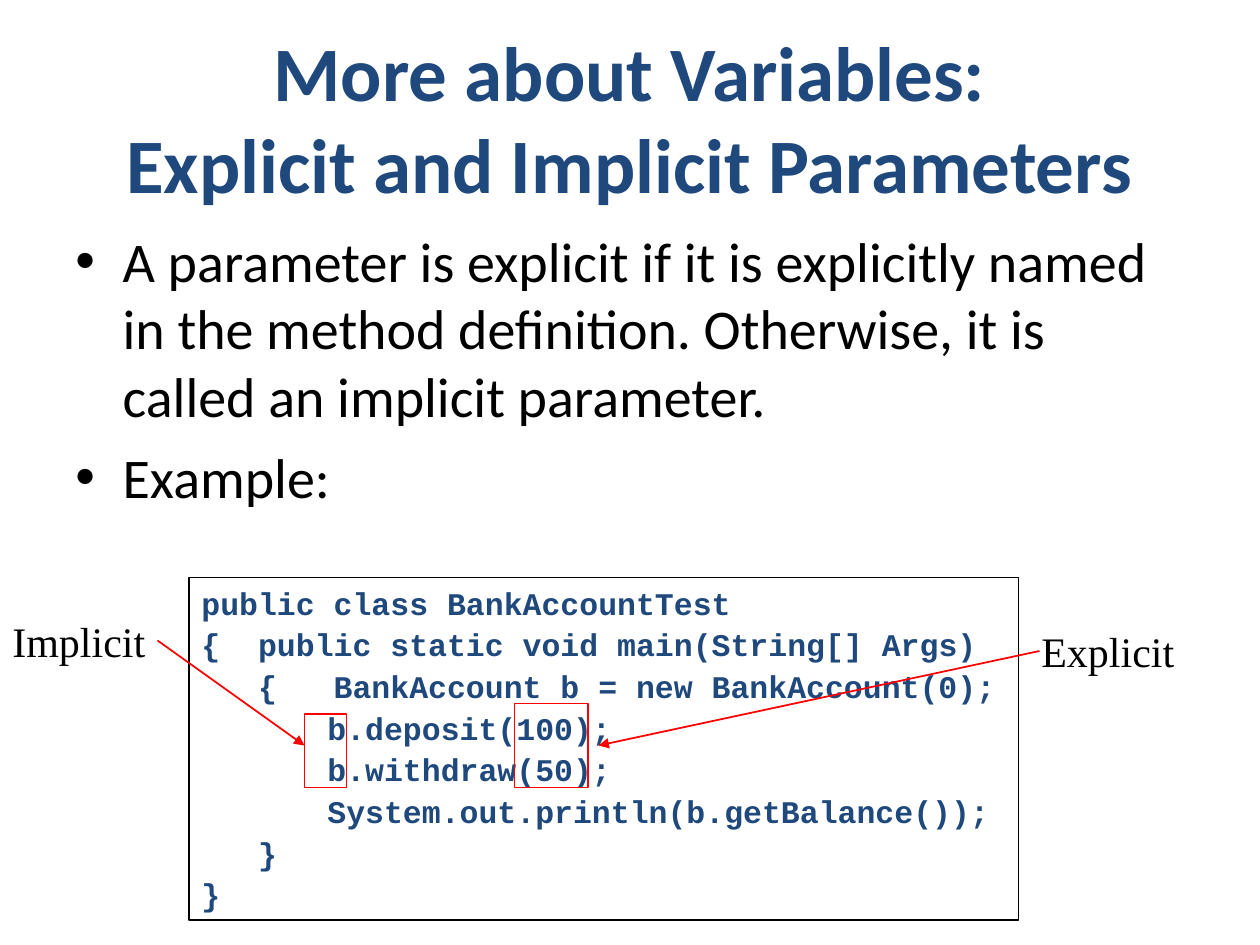
from lxml.etree import SubElement
from pptx import Presentation
from pptx.dml.color import RGBColor
from pptx.enum.shapes import MSO_CONNECTOR as Connector, MSO_SHAPE as Shape
from pptx.enum.text import MSO_ANCHOR as Anchor, PP_ALIGN as Align
from pptx.oxml.ns import qn
from pptx.util import Pt

NAVY = RGBColor(0x1F, 0x49, 0x7D)
BLACK = RGBColor(0, 0, 0)
RED = RGBColor(0xFF, 0, 0)

TITLE = ["More about Variables:\vExplicit and Implicit Parameters"]
POINTS = [
    "A parameter is explicit if it is explicitly named in the method definition. "
    "Otherwise, it is called an implicit parameter.",
    "Example:",
]
CODE = [
    ("public class BankAccountTest", []),
    ("{\tpublic static void main(String[] Args)", [32.4]),
    ("\t{\tBankAccount b = new BankAccount(0);", [32.4, 75.6]),
    ("\tb.deposit(100);", [72]),
    ("\tb.withdraw(50);", [72]),
    ("\tSystem.out.println(b.getBalance());", [72]),
    ("\t}", [32.4]),
    ("}", []),
]


def write(frame, lines, font="Calibri", size=32, color=BLACK, bold=False,
          align=Align.LEFT, before=0, bullet=None, stops=None):
    frame.word_wrap = True
    for index, line in enumerate(lines):
        para = frame.paragraphs[0] if index == 0 else frame.add_paragraph()
        para.text = line
        para.alignment = align
        para.space_before = Pt(before)
        props = para._p.get_or_add_pPr()
        if bullet:
            props.set("marL", str(Pt(27)))
            props.set("indent", str(Pt(-27)))
            SubElement(props, qn("a:buFont"), typeface="Arial")
            SubElement(props, qn("a:buChar"), char=bullet)
        if stops and stops[index]:
            tabs = SubElement(props, qn("a:tabLst"))
            for stop in stops[index]:
                SubElement(tabs, qn("a:tab"), pos=str(Pt(stop)), algn="l")
        for span in para.runs:
            span.font.name = font
            span.font.size = Pt(size)
            span.font.bold = bold
            span.font.color.rgb = color


class Slide:
    def __init__(self, deck):
        self.page = deck.slides.add_slide(deck.slide_layouts[6])
        self.line_width = Pt(1)

    def text(self, left, top, width, height, lines, anchor=Anchor.TOP, **style):
        box = self.page.shapes.add_textbox(Pt(left), Pt(top), Pt(width), Pt(height))
        box.text_frame.vertical_anchor = anchor
        write(box.text_frame, lines, **style)

    def frame(self, left, top, width, height, color):
        box = self.page.shapes.add_shape(
            Shape.RECTANGLE, Pt(left), Pt(top), Pt(width), Pt(height))
        box.shadow.inherit = False
        box.fill.background()
        box.line.color.rgb = color
        box.line.width = self.line_width
        return box

    def code(self, left, top, width, height, listing):
        box = self.frame(left, top, width, height, BLACK)
        box.text_frame.vertical_anchor = Anchor.TOP
        lines, stops = zip(*listing)
        write(box.text_frame, lines, font="Courier New", size=18, color=NAVY,
              bold=True, before=2.2, stops=stops)

    def arrow(self, start_x, start_y, end_x, end_y):
        arrow = self.page.shapes.add_connector(
            Connector.STRAIGHT, Pt(start_x), Pt(start_y), Pt(end_x), Pt(end_y))
        arrow.line.color.rgb = RED
        arrow.line.width = self.line_width
        SubElement(arrow.line._get_or_add_ln(), qn("a:tailEnd"), type="triangle")
        SubElement(arrow._element.spPr, qn("a:effectLst"))

    def callout(self, name, label, target, arrow):
        self.frame(*target, RED)
        self.text(*label, 102, 36, [name], font="Times New Roman", size=24, before=15)
        self.arrow(*arrow)


def main():
    deck = Presentation()
    deck.slide_width, deck.slide_height = Pt(720), Pt(540)
    slide = Slide(deck)
    slide.text(36, 21.6, 648, 90, TITLE, anchor=Anchor.MIDDLE, size=44,
               color=NAVY, bold=True, align=Align.CENTER)
    slide.text(36, 126, 648, 356.4, POINTS, before=8, bullet="•")
    slide.code(108, 330, 474, 195.8, CODE)
    slide.callout("Implicit", (0, 348), (174, 408, 24, 42), (90, 366, 174, 426))
    slide.callout("Explicit", (588, 354), (294, 402, 42, 48), (594, 372, 342, 426))
    deck.save("out.pptx")


if __name__ == "__main__":
    main()
